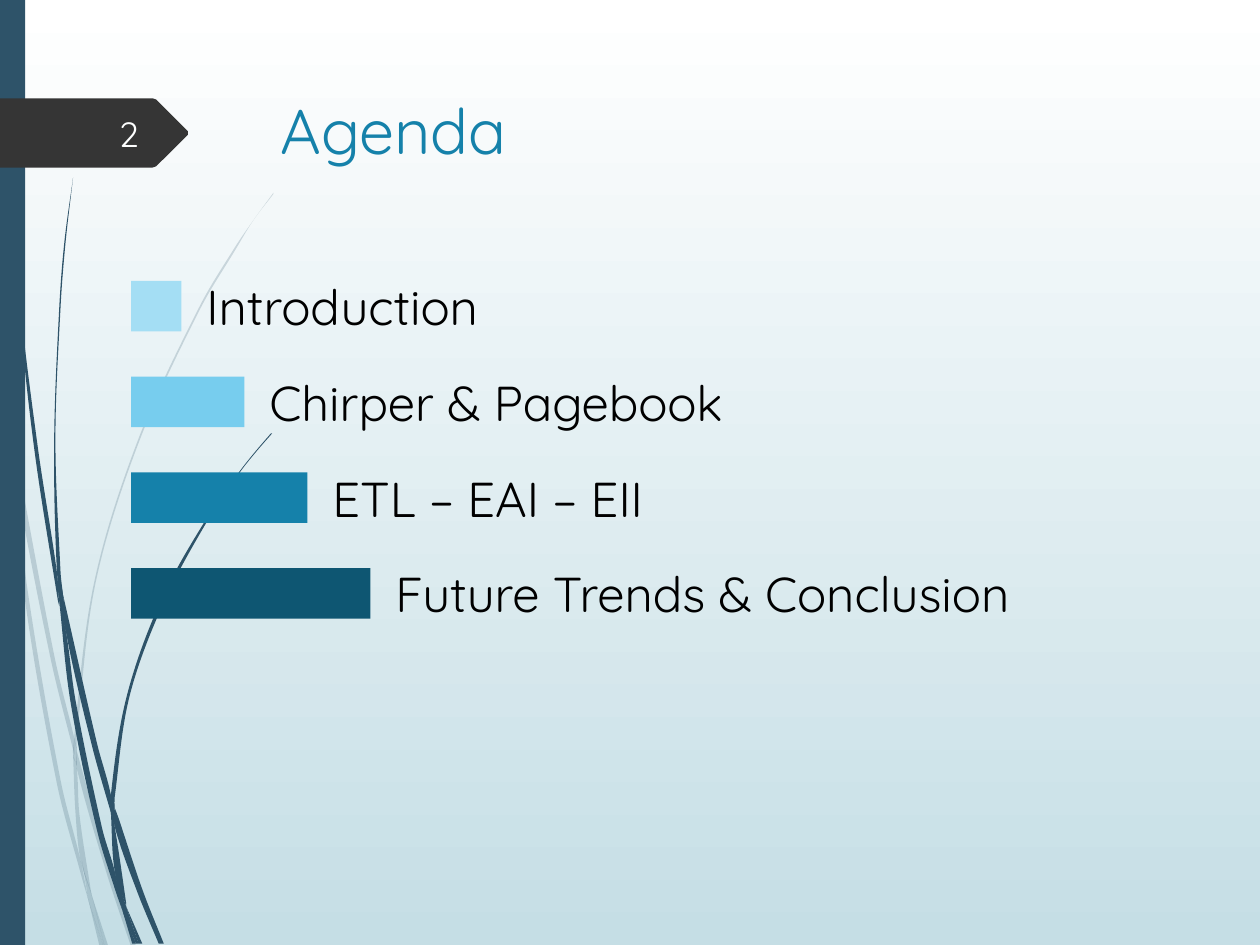
from dataclasses import dataclass
from math import hypot

from lxml.etree import Element, SubElement
from pptx import Presentation
from pptx.dml.color import RGBColor
from pptx.enum.shapes import MSO_SHAPE
from pptx.enum.text import MSO_ANCHOR, PP_ALIGN
from pptx.oxml.ns import qn
from pptx.util import Inches, Pt

Point = tuple[float, float]


@dataclass(frozen=True)
class Theme:
    """Colours, font and type sizes of the slide."""
    font: str = "Quicksand"
    sky_top: str = "FFFFFF"
    sky_bottom: str = "C5DEE5"
    stalk: str = "2E5369"
    tag: str = "353535"
    title: str = "1581AA"
    number: str = "FEFFFF"
    label: str = "000000"
    title_size: float = 36
    number_size: float = 20
    label_size: float = 28
    pale: int = 20


@dataclass(frozen=True)
class Blade:
    """A curved piece of grass between two edges, both listed from top to bottom."""
    left: list[Point]
    right: list[Point]


@dataclass(frozen=True)
class AgendaItem:
    """One agenda line and the colour of its bar."""
    text: str
    color: str


THEME = Theme()

PALE_BLADES = [
    Blade([(0, 2.82), (0, 2.99), (0.07, 3.44), (0.08, 3.5)], [(0, 2.82), (0.06, 3.22), (0.08, 3.5)]),
    Blade([(0.1, 3.45), (0.12, 3.76), (0.4, 5.22), (0.59, 5.99)], [(0.1, 3.45), (0.43, 5.2), (0.59, 5.86)]),
    Blade([(0.61, 5.96), (0.61, 6.1), (0.85, 6.94), (1.04, 7.51)],
          [(0.61, 5.96), (0.64, 6.07), (0.88, 6.92), (1.08, 7.51)]),
    Blade([(0.73, 7.11), (0.83, 7.51)], [(0.73, 7.11), (0.86, 7.51)]),
    Blade([(0.08, 3.5), (0.19, 4.7), (0.45, 6.21), (0.64, 6.93), (0.7, 7.14)],
          [(0.08, 3.5), (0.12, 3.76), (0.22, 4.69), (0.48, 6.19), (0.64, 6.83), (0.7, 7.14)]),
    Blade([(0.58, 5.99), (0.6, 6.46), (0.64, 6.83), (0.73, 7.11)],
          [(0.58, 5.99), (0.61, 6.1), (0.63, 6.46), (0.72, 7.06), (0.73, 7.11)]),
    Blade([(2.17, 1.53), (2.01, 1.75), (1.86, 1.97), (1.58, 2.44), (1.1, 3.48), (0.75, 4.61),
           (0.59, 5.84), (0.61, 5.96)],
          [(2.17, 1.54), (2.01, 1.75), (1.87, 1.98), (1.59, 2.45), (1.11, 3.49), (0.76, 4.62),
           (0.61, 5.84), (0.61, 5.96)]),
    Blade([(0.7, 7.14), (0.79, 7.51)], [(0.7, 7.14), (0.82, 7.51)]),
    Blade([(0.59, 5.86), (0.58, 5.99), (0.61, 6.08)], [(0.59, 5.86), (0.61, 5.96), (0.61, 6.1)]),
    Blade([(0.65, 6.83), (0.69, 7.07), (0.7, 7.14), (0.82, 7.51)],
          [(0.65, 6.83), (0.67, 6.92), (0.73, 7.11), (0.83, 7.51)]),
]

DARK_BLADES = [
    Blade([(0.02, 0), (0.03, 0.48), (0.05, 1.1), (0.14, 2.33), (0.27, 3.55), (0.46, 4.77), (0.47, 4.81)],
          [(0.03, 0), (0.04, 0.48), (0.06, 1.09), (0.15, 2.32), (0.3, 3.55), (0.45, 4.53), (0.47, 4.81)]),
    Blade([(0.5, 4.72), (0.53, 5.05), (0.73, 5.92), (0.88, 6.45)],
          [(0.5, 4.72), (0.77, 5.9), (0.88, 6.31), (0.88, 6.45)]),
    Blade([(0.91, 6.41), (0.91, 6.56), (1.09, 7.08), (1.26, 7.49)],
          [(0.91, 6.41), (0.94, 6.49), (1.13, 7.06), (1.3, 7.49)]),
    Blade([(0.47, 4.77), (0.56, 5.57), (0.77, 6.59), (0.92, 7.08), (0.97, 7.22)],
          [(0.47, 4.77), (0.53, 5.05), (0.6, 5.56), (0.81, 6.57), (0.91, 6.91), (0.97, 7.22)]),
    Blade([(0.58, 1.41), (0.51, 1.93), (0.47, 2.45), (0.43, 3.49), (0.45, 4.49), (0.49, 4.72)],
          [(0.58, 1.41), (0.52, 1.93), (0.48, 2.45), (0.44, 3.49), (0.48, 4.53), (0.5, 4.72)]),
    Blade([(1, 7.19), (1.1, 7.49)], [(1, 7.19), (1.13, 7.49)]),
    Blade([(0.45, 4.49), (0.47, 4.77), (0.53, 5.05)], [(0.45, 4.49), (0.5, 4.72), (0.53, 5.05)]),
    Blade([(2.15, 3.44), (2.03, 3.58), (1.91, 3.73), (1.68, 4.05), (1.29, 4.74), (1.01, 5.51),
           (0.88, 6.31), (0.91, 6.41)],
          [(2.16, 3.44), (2.03, 3.59), (1.91, 3.74), (1.69, 4.06), (1.31, 4.76), (1.03, 5.52),
           (0.91, 6.33), (0.91, 6.41)]),
    Blade([(0.97, 7.22), (1.05, 7.49)], [(0.97, 7.22), (1.08, 7.49)]),
    Blade([(0.88, 6.45), (0.91, 6.91), (1, 7.19)], [(0.88, 6.45), (0.91, 6.56), (1, 7.16), (1, 7.19)]),
    Blade([(0.88, 6.31), (0.88, 6.45), (0.91, 6.56)], [(0.88, 6.31), (0.91, 6.41), (0.91, 6.56)]),
    Blade([(0.91, 6.91), (0.97, 7.22), (1.08, 7.49)], [(0.91, 6.91), (1, 7.19), (1.1, 7.49)]),
]

TAG_OUTLINE = [(1.49, 1.07), (1.24, 1.32), (1.21, 1.33), (0, 1.33), (0, 0.78), (1.21, 0.78),
               (1.24, 0.79), (1.49, 1.04)]

AGENDA = [
    AgendaItem("Introduction", "A4DEF4"),
    AgendaItem("Chirper & Pagebook", "77CDEE"),
    AgendaItem("ETL – EAI – EII", "1581AA"),
    AgendaItem("Future Trends & Conclusion", "0E5672"),
]


def paint(shape, color: str, opacity: int = 100) -> None:
    """Give a shape a plain fill without line or shadow."""
    shape.shadow.inherit = False
    shape.line.fill.background()
    shape.fill.solid()
    shape.fill.fore_color.rgb = RGBColor.from_string(color)
    if opacity < 100:
        color_element = shape._element.spPr.find(".//" + qn("a:srgbClr"))
        SubElement(color_element, qn("a:alpha"), val=str(opacity * 1000))


def add_outline(slide, points: list[Point], color: str, opacity: int = 100):
    """Draw a filled closed outline and return its shape."""
    start, *rest = [(Inches(x), Inches(y)) for x, y in points]
    builder = slide.shapes.build_freeform(*start)
    builder.add_line_segments(rest, close=True)
    shape = builder.convert_to_shape()
    paint(shape, color, opacity)
    return shape


def edge_curves(edge: list[Point]) -> list[tuple[Point, Point, Point]]:
    """Return the Bezier points of a smooth curve through an edge."""
    padded = [edge[0], *edge, edge[-1]]
    curves = []
    for before, start, end, after in zip(padded, padded[1:], padded[2:], padded[3:]):
        reach = hypot(end[0] - start[0], end[1] - start[1]) / 3

        def control(base: Point, tail: Point, head: Point, sign: int) -> Point:
            """Step from a base point along the direction from tail to head."""
            length = hypot(head[0] - tail[0], head[1] - tail[1])
            return tuple(b + sign * reach * (h - t) / length for b, t, h in zip(base, tail, head))

        curves.append((control(start, before, end, 1), control(end, start, after, -1), end))
    return curves


def add_blade(slide, blade: Blade, opacity: int = 100) -> None:
    """Draw a blade, bending the straight segments of both edges."""
    upward = blade.right[::-1]
    shape = add_outline(slide, blade.left + upward, THEME.stalk, opacity)
    segments = list(shape._element.iter(qn("a:lnTo")))
    curves = [*edge_curves(blade.left), None, *edge_curves(upward)]
    for segment, curve in zip(segments, curves):
        if curve is None:
            continue
        bend = Element(qn("a:cubicBezTo"))
        for x, y in curve:
            SubElement(bend, qn("a:pt"), x=str(Inches(x) - shape.left), y=str(Inches(y) - shape.top))
        segment.getparent().replace(segment, bend)


def add_bar(slide, left: float, top: float, width: float, height: float, color: str) -> None:
    """Draw a filled rectangle."""
    box = map(Inches, (left, top, width, height))
    paint(slide.shapes.add_shape(MSO_SHAPE.RECTANGLE, *box), color)


def add_text(slide, text: str, box: tuple[float, float, float, float], size: float, color: str,
             anchor=MSO_ANCHOR.MIDDLE, **paragraph_format) -> None:
    """Add a one-line text box."""
    frame = slide.shapes.add_textbox(*map(Inches, box)).text_frame
    frame.word_wrap = True
    frame.vertical_anchor = anchor
    paragraph = frame.paragraphs[0]
    for name, value in paragraph_format.items():
        setattr(paragraph, name, value)
    run = paragraph.add_run()
    run.text = text
    for name, value in {"name": THEME.font, "size": Pt(size)}.items():
        setattr(run.font, name, value)
    run.font.color.rgb = RGBColor.from_string(color)


def main() -> None:
    """Build and save the agenda slide."""
    presentation = Presentation()
    presentation.slide_width, presentation.slide_height = Inches(10), Inches(7.5)
    slide = presentation.slides.add_slide(presentation.slide_layouts[6])
    sky = slide.background.fill
    sky.gradient()
    sky.gradient_angle = 270
    for stop, color in zip(sky.gradient_stops, (THEME.sky_top, THEME.sky_bottom)):
        stop.color.rgb = RGBColor.from_string(color)
    for blades, opacity in ((PALE_BLADES, THEME.pale), (DARK_BLADES, 100)):
        for blade in blades:
            add_blade(slide, blade, opacity)
    add_bar(slide, 0, 0, 0.2, 7.5, THEME.stalk)
    add_outline(slide, TAG_OUTLINE, THEME.tag)
    add_text(slide, "Agenda", (2.13, 0.68, 7.21, 1.4), THEME.title_size, THEME.title, MSO_ANCHOR.TOP)
    add_text(slide, "2", (0.56, 0.86, 0.64, 0.4), THEME.number_size, THEME.number, alignment=PP_ALIGN.RIGHT)
    for index, item in enumerate(AGENDA):
        top, bar_width = 2.08 + 0.76 * index, 0.4 + 0.5 * index
        add_text(slide, item.text, (1.14 + bar_width, top, 6, 0.7), THEME.label_size, THEME.label,
                 space_before=Pt(0.2 * THEME.label_size))
        add_bar(slide, 1.04, top + 0.15, bar_width, 0.4, item.color)
    presentation.save("out.pptx")


main()
